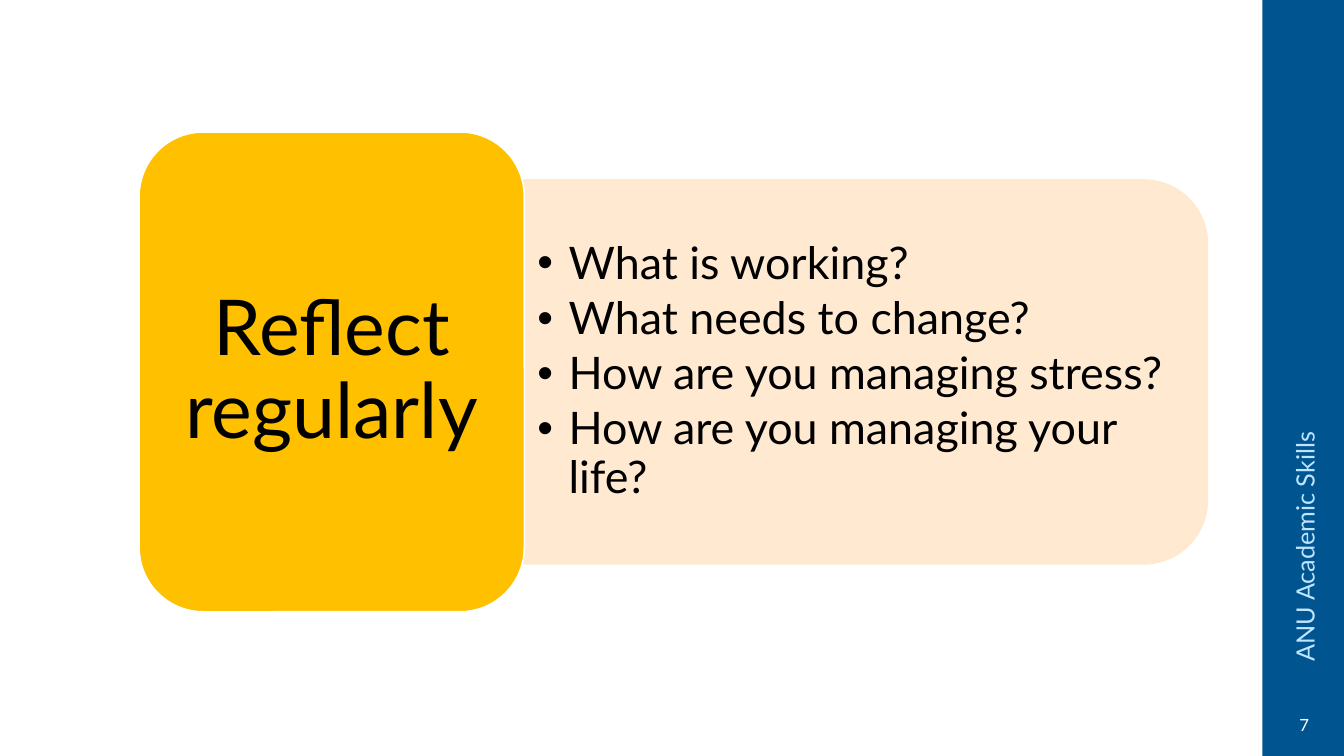
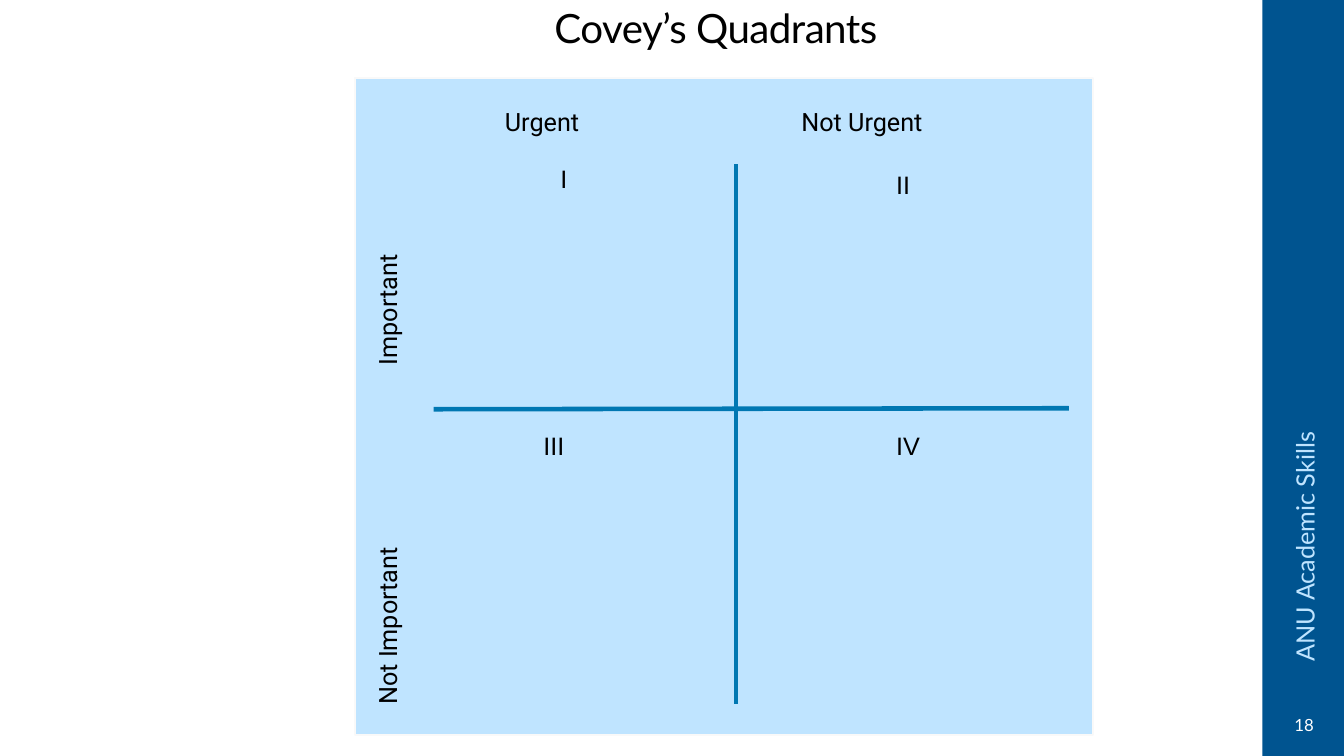
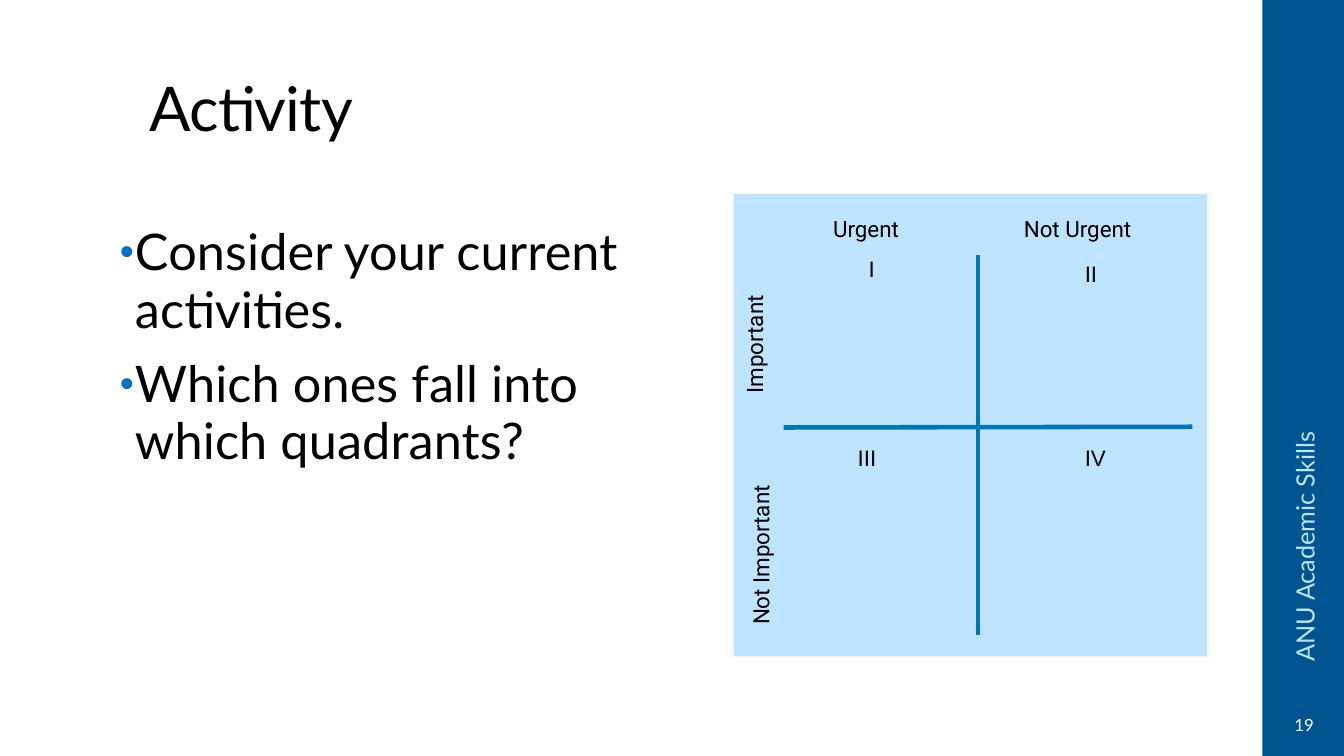
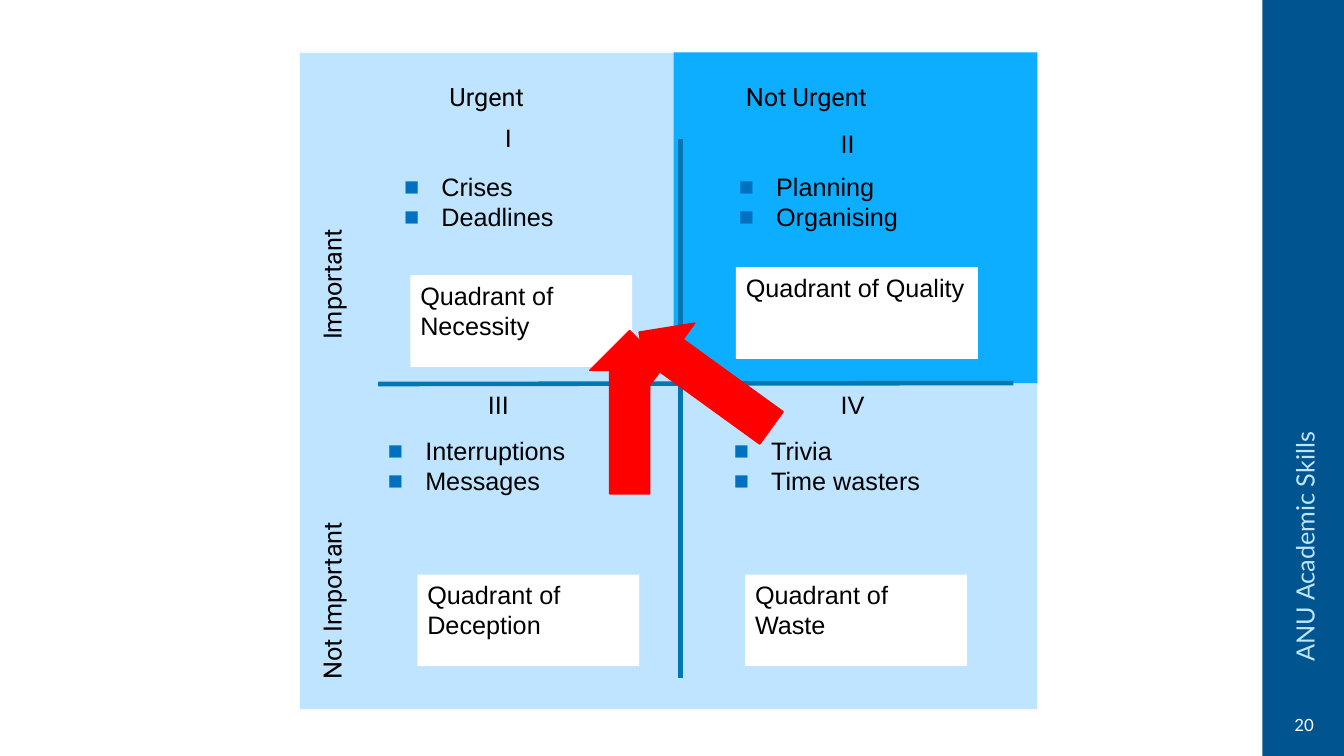
from dataclasses import dataclass

from lxml import etree
from pptx import Presentation
from pptx.dml.color import RGBColor
from pptx.enum.shapes import MSO_CONNECTOR, MSO_SHAPE as SHAPE
from pptx.enum.text import MSO_ANCHOR as ANCHOR, MSO_AUTO_SIZE, PP_ALIGN as ALIGN
from pptx.oxml.ns import qn
from pptx.util import Inches, Pt


@dataclass(frozen=True)
class Theme:
    band: str = "005490"
    pale: str = "BFE4FF"
    bright: str = "0DAEFF"
    axis: str = "0077B2"
    bullet: str = "0070C0"
    gold: str = "FFC000"
    cream: str = "FFE8CC"
    red: str = "FF0000"
    edge: str = "F9F9F9"
    white: str = "FFFFFF"
    black: str = "000000"
    head: str = "Lato"
    label: str = "Roboto"
    plain: str = "Arial"
    hero: float = 55
    title: float = 44
    body: float = 36
    points: float = 32
    small_title: float = 28.8
    text: float = 18
    small: float = 16
    number: float = 12


T = Theme()


def box(s, kind, x, y, w, h, fill=None, line=None, width=1.1, rot=0, alpha=None):
    """Add a preset shape, or a text box when kind is None."""
    place = [Inches(v) for v in (x, y, w, h)]
    if kind is None:
        sp = s.shapes.add_textbox(*place)
    else:
        sp = s.shapes.add_shape(kind, *place)
        sp.shadow.inherit = False
    sp.rotation = rot
    if fill:
        sp.fill.solid()
        sp.fill.fore_color.rgb = RGBColor.from_string(fill)
    if line:
        sp.line.color.rgb = RGBColor.from_string(line)
        sp.line.width = Pt(width)
    elif kind is not None:
        sp.line.fill.background()
    if alpha:
        for clr in sp._element.spPr.iter(qn("a:srgbClr")):
            etree.SubElement(clr, qn("a:alpha"), val=str(alpha * 1000))
    return sp


def write(sp, *lines, size=T.text, font=T.plain, color=T.black, align=ALIGN.LEFT,
          anchor=ANCHOR.TOP, margins=(0.1, 0.05), spacing=None, before=0, after=0,
          track=0, bullet=None, bullet_color=None, bullet_pct=None, indent=0):
    """Fill a shape with one paragraph per line, all in one format."""
    tf = sp.text_frame
    tf.word_wrap = True
    tf.auto_size = MSO_AUTO_SIZE.NONE
    tf.vertical_anchor = anchor
    tf.margin_left = tf.margin_right = Inches(margins[0])
    tf.margin_top = tf.margin_bottom = Inches(margins[1])
    for i, line in enumerate(lines):
        p = tf.add_paragraph() if i else tf.paragraphs[0]
        p.alignment = align
        p.line_spacing = spacing
        p.space_before = Pt(before if i else 0)
        p.space_after = Pt(after)
        if bullet:
            pPr = p._p.get_or_add_pPr()
            pPr.set("marL", str(Inches(indent)))
            pPr.set("indent", str(-Inches(indent)))
            if bullet_color:
                clr = etree.SubElement(pPr, qn("a:buClr"))
                etree.SubElement(clr, qn("a:srgbClr"), val=bullet_color)
            if bullet_pct:
                etree.SubElement(pPr, qn("a:buSzPct"), val=str(bullet_pct * 1000))
            etree.SubElement(pPr, qn("a:buFont"), typeface=T.plain)
            etree.SubElement(pPr, qn("a:buChar"), char=bullet)
        r = p.add_run()
        r.text = line
        r.font.name, r.font.size = font, Pt(size)
        r.font.color.rgb = RGBColor.from_string(color)
        if track:
            r._r.get_or_add_rPr().set("spc", str(int(track * 100)))


prs = Presentation()
prs.slide_width, prs.slide_height = Inches(13.33), Inches(7.5)
TITLE_ONLY, BLANK = prs.slide_layouts[5], prs.slide_layouts[6]
reflect, covey, activity, examples = [
    prs.slides.add_slide(layout) for layout in (BLANK, TITLE_ONLY, TITLE_ONLY, BLANK)]

# Reflect regularly: question panel and heading
box(reflect, SHAPE.ROUND_2_SAME_RECTANGLE, 6.68, 0.3, 3.81, 6.78,
    T.cream, T.cream, rot=90, alpha=90)
write(box(reflect, None, 5.2, 1.97, 6.6, 3.44),
      "What is working?", "What needs to change?",
      "How are you managing stress?", "How are you managing your life?",
      size=T.points, font=T.head, anchor=ANCHOR.MIDDLE, margins=(0.13, 0.07),
      spacing=0.9, after=4.8, bullet="•", indent=0.31)
write(box(reflect, SHAPE.ROUNDED_RECTANGLE, 1.38, 1.31, 3.82, 4.76, T.gold, T.white),
      "Reflect regularly", size=T.hero, font=T.head, align=ALIGN.CENTER,
      anchor=ANCHOR.MIDDLE, margins=(0.23, 0.11), spacing=0.9)

# Titles
for s, title, place, size, align in (
        (covey, "Covey’s Quadrants", (2.65, 0.02, 8.9, 0.55), T.small_title, ALIGN.CENTER),
        (activity, "Activity", (1.38, 0.4, 10.6, 1.09), T.title, ALIGN.LEFT)):
    sp = s.shapes.title
    sp.left, sp.top, sp.width, sp.height = [Inches(v) for v in place]
    write(sp, title, size=size, font=T.head, align=align, anchor=ANCHOR.BOTTOM,
          spacing=0.9, track=-0.4)

# Activity: questions
write(box(activity, None, 1.09, 2.18, 5.68, 4.76),
      "Consider your current activities.", "Which ones fall into which quadrants?",
      size=T.body, font=T.head, spacing=0.95, before=10.5, after=1.5, track=0.1,
      bullet="•", bullet_color=T.bullet, bullet_pct=80, indent=0.15)

# Quadrant grids: one set of offsets, scaled to each panel
GRID_W, GRID_H = 7.32, 6.52
SIDE_LABELS = (("Important", 1.76), ("Not Important", 5.13))
TOP_LABELS = (("Urgent", 1.39), ("Not Urgent", 4.33))
NUMERALS = (("I", 1.94, 0.8), ("II", 5.27, 0.86), ("III", 1.77, 3.45), ("IV", 5.27, 3.45))
AXES = ((3.78, 0.86, 3.78, 6.21), (0.78, 3.29, 7.08, 3.28))

for s, x, y, w, h, size, label_h, fill, rise, nudge in (
        (covey, 3.52, 0.77, GRID_W, GRID_H, T.text, 0.5, T.pale, 0, (0, 0)),
        (activity, 7.27, 1.92, 4.71, 4.6, T.small, 0.42, T.pale, 0, (0.06, -0.08)),
        (examples, 2.97, 0.52, GRID_W, GRID_H, T.text, 0.5, None, 0.16, (0, 0))):
    kx, ky = w / GRID_W, h / GRID_H
    kind = SHAPE.RECTANGLE if fill else None
    box(s, SHAPE.RECTANGLE, x, y, w, h, T.pale, T.edge, 1.35)
    if s is examples:
        box(s, SHAPE.RECTANGLE, 6.68, y, 3.61, 3.28, T.bright)
    for i, (name, mid) in enumerate(SIDE_LABELS):
        label_w = 2.38 * ky
        cx, cy = x + 0.37 * kx + i * nudge[0], y + mid * ky + i * nudge[1]
        write(box(s, kind, cx - label_w / 2, cy - label_h / 2, label_w, label_h,
                  fill, rot=270), name, size=size, font=T.label)
    for name, dx in TOP_LABELS:
        write(box(s, kind, x + dx * kx, y + 0.24 * ky, 2.13 * kx, label_h, fill),
              name, size=size, font=T.label)
    for x1, y1, x2, y2 in AXES:
        c = s.shapes.add_connector(
            MSO_CONNECTOR.STRAIGHT, Inches(x + x1 * kx), Inches(y + y1 * ky),
            Inches(x + x2 * kx), Inches(y + y2 * ky))
        c.line.color.rgb = RGBColor.from_string(T.axis)
        c.line.width = Pt(3.25)
        etree.SubElement(c._element.spPr, qn("a:effectLst"))
    for name, dx, dy in NUMERALS:
        write(box(s, kind, x + dx * kx, y + (dy - rise) * ky, 0.71 * kx, label_h, fill),
              name, size=size)

# Examples in each quadrant
for x, y, w, items in (
        (3.91, 1.65, 2.44, ("Crises", "Deadlines")),
        (7.23, 1.65, 2.77, ("Planning", "Organising")),
        (3.75, 4.27, 2.83, ("Interruptions", "Messages")),
        (7.18, 4.27, 2.71, ("Trivia", "Time wasters"))):
    write(box(examples, None, x, y, w, 0.91), *items,
          bullet="■", bullet_color=T.bullet, indent=0.37)

# Quadrant names
for x, y, w, name in (
        (4.07, 2.73, 2.2, "Necessity"), (4.14, 5.7, 2.2, "Deception"),
        (7.3, 2.65, 2.4, "Quality"), (7.39, 5.7, 2.2, "Waste")):
    write(box(examples, SHAPE.RECTANGLE, x, y, w, 0.91, T.white), f"Quadrant of {name}")

# Arrows towards necessity
for x, y, rot in ((5.85, 3.28, 0), (6.6, 2.96, 305.9)):
    box(examples, SHAPE.UP_ARROW, x, y, 0.79, 1.62, T.red, T.red, rot=rot)

# Side band, footer and page number
for s, number in zip(prs.slides, (7, 18, 19, 20)):
    box(s, SHAPE.RECTANGLE, 12.52, 0, 0.83, 7.5, T.band)
    write(box(s, None, 10.46, 3.98, 4.96, 0.4, rot=270), "ANU Academic Skills",
          font=T.head, color=T.pale, anchor=ANCHOR.MIDDLE)
    write(box(s, None, 12.65, 7.04, 0.57, 0.33), str(number), size=T.number,
          font=T.head, color=T.white, align=ALIGN.CENTER)

prs.save("out.pptx")
